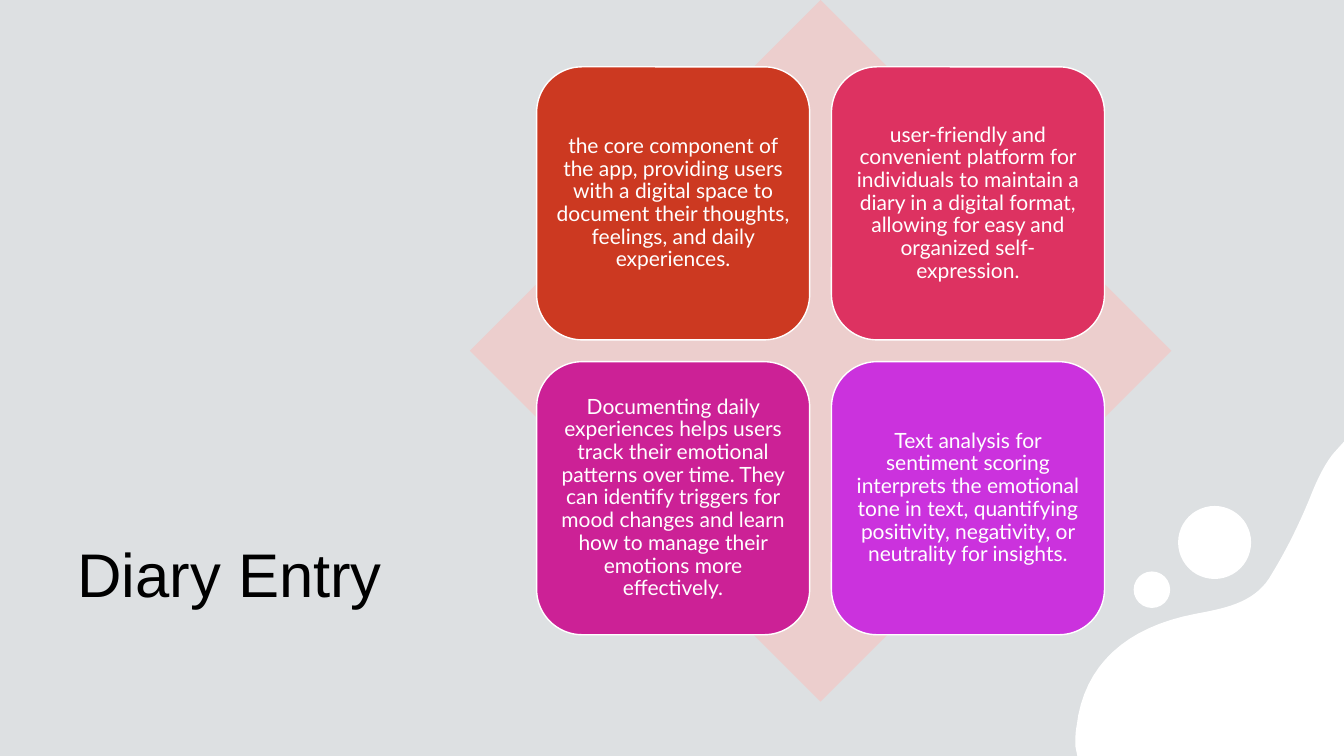
"""Build the Diary Entry slide: a title beside four cards on a diamond."""
import dataclasses
import typing

import pptx
import pptx.dml.color
import pptx.enum.shapes
import pptx.enum.text
import pptx.util

Cm = pptx.util.Cm
Pt = pptx.util.Pt
RGB = pptx.dml.color.RGBColor
Kind = pptx.enum.shapes.MSO_SHAPE
Anchor = pptx.enum.text.MSO_ANCHOR
Align = pptx.enum.text.PP_ALIGN
Point = tuple[float, float]


@dataclasses.dataclass(frozen=True)
class Theme:
    background: str = "DDE0E2"
    white: str = "FFFFFF"
    title_color: str = "000000"
    diamond: str = "ECCECD"
    title_font: str = "Arial"
    card_font: str = "Lato"
    title_size: int = 44
    card_size: int = 15


@dataclasses.dataclass(frozen=True)
class Card:
    column: int
    row: int
    color: str
    text: str


@dataclasses.dataclass(frozen=True)
class Bubble:
    center_x: float
    center_y: float
    radius: float


THEME = Theme()
SLIDE_WIDTH, SLIDE_HEIGHT = 33.87, 19.05
DIAMOND_LEFT, DIAMOND_SIZE = 11.84, 17.68
CARD_SIZE, CARD_PITCH = 6.88, 7.43
CARD_MARGIN = (DIAMOND_SIZE - CARD_SIZE - CARD_PITCH) / 2
CURVE_STEPS = 16

CARDS = (
    Card(0, 0, "CC3921", "the core component of the app, providing users with a digital "
         "space to document their thoughts, feelings, and daily experiences."),
    Card(1, 0, "DD3261", "user-friendly and convenient platform for individuals to maintain "
         "a diary in a digital format, allowing for easy and organized self-expression."),
    Card(0, 1, "CC2196", "Documenting daily experiences helps users track their emotional "
         "patterns over time. They can identify triggers for mood changes and learn how to "
         "manage their emotions more effectively."),
    Card(1, 1, "CB32DD", "Text analysis for sentiment scoring interprets the emotional tone "
         "in text, quantifying positivity, negativity, or neutrality for insights."),
)
BUBBLES = (Bubble(30.61, 13.67, 0.92), Bubble(29.03, 14.86, 0.46))
WAVE_START: Point = (27.1, 18.8)
WAVE_CURVES: tuple[tuple[Point, Point, Point], ...] = (
    ((27.1, 18.64), (27.1, 18.47), (27.13, 18.31)),
    ((27.31, 16.74), (28.4, 15.8), (30.12, 15.47)),
    ((30.81, 15.34), (31.57, 15.21), (31.98, 14.58)),
    ((32.41, 13.89), (32.77, 13.16), (33.07, 12.4)),
    ((33.22, 12.04), (33.38, 11.71), (33.6, 11.43)),
)


def paint(shape: typing.Any, color: str, outline: str | None = None) -> None:
    """Fill a shape, remove its shadow and set or clear its outline."""
    shape.shadow.inherit = False
    shape.fill.solid()
    shape.fill.fore_color.rgb = RGB.from_string(color)
    if outline:
        shape.line.color.rgb = RGB.from_string(outline)
        shape.line.width = Pt(1)
    else:
        shape.line.fill.background()


def write(shape: typing.Any, text: str, font: str, size: int, color: str,
          anchor: Anchor, alignment: Align) -> None:
    """Put one formatted paragraph into a shape."""
    frame = shape.text_frame
    frame.text = text
    frame.word_wrap = True
    frame.vertical_anchor = anchor
    paragraph = frame.paragraphs[0]
    paragraph.alignment = alignment
    for run in paragraph.runs:
        run.font.name = font
        run.font.size = Pt(size)
        run.font.color.rgb = RGB.from_string(color)


def add_square(slide: typing.Any, kind: Kind, left: float, top: float, size: float) -> typing.Any:
    """Add a preset shape of equal width and height."""
    return slide.shapes.add_shape(kind, Cm(left), Cm(top), Cm(size), Cm(size))


def add_card(slide: typing.Any, card: Card) -> None:
    """Add one rounded card at its place in the grid."""
    left = DIAMOND_LEFT + CARD_MARGIN + card.column * CARD_PITCH
    top = CARD_MARGIN + card.row * CARD_PITCH
    shape = add_square(slide, Kind.ROUNDED_RECTANGLE, left, top, CARD_SIZE)
    paint(shape, card.color, THEME.white)
    write(shape, card.text, THEME.card_font, THEME.card_size, THEME.white,
          Anchor.MIDDLE, Align.CENTER)
    frame = shape.text_frame
    frame.margin_left = frame.margin_right = Cm(0.15)
    frame.margin_top = frame.margin_bottom = Cm(0.15)
    frame.paragraphs[0].line_spacing = 0.9


def add_bubble(slide: typing.Any, bubble: Bubble) -> None:
    """Add one white circle."""
    shape = add_square(slide, Kind.OVAL, bubble.center_x - bubble.radius,
                       bubble.center_y - bubble.radius, 2 * bubble.radius)
    paint(shape, THEME.white)


def curve_point(points: tuple[Point, ...], t: float) -> Point:
    """Return the point at t on a cubic curve."""
    weights = ((1 - t) ** 3, 3 * t * (1 - t) ** 2, 3 * t ** 2 * (1 - t), t ** 3)
    return (sum(weight * x for weight, (x, _) in zip(weights, points)),
            sum(weight * y for weight, (_, y) in zip(weights, points)))


def add_wave(slide: typing.Any) -> None:
    """Add the white wave in the lower right corner."""
    outline = [(27.15, SLIDE_HEIGHT), WAVE_START]
    for curve in WAVE_CURVES:
        points = (outline[-1], *curve)
        outline += [curve_point(points, step / CURVE_STEPS)
                    for step in range(1, CURVE_STEPS + 1)]
    outline.append((SLIDE_WIDTH, 11.13))
    builder = slide.shapes.build_freeform(Cm(SLIDE_WIDTH), Cm(SLIDE_HEIGHT))
    builder.add_line_segments([(Cm(x), Cm(y)) for x, y in outline], close=True)
    paint(builder.convert_to_shape(), THEME.white)


def main() -> None:
    """Build and save the presentation."""
    presentation = pptx.Presentation()
    presentation.slide_width = Cm(SLIDE_WIDTH)
    presentation.slide_height = Cm(SLIDE_HEIGHT)
    slide = presentation.slides.add_slide(presentation.slide_layouts[6])
    slide.background.fill.solid()
    slide.background.fill.fore_color.rgb = RGB.from_string(THEME.background)

    add_wave(slide)
    for bubble in BUBBLES:
        add_bubble(slide, bubble)
    title = slide.shapes.add_textbox(Cm(1.7), Cm(2.26), Cm(10.16), Cm(13.23))
    write(title, "Diary Entry", THEME.title_font, THEME.title_size, THEME.title_color,
          Anchor.BOTTOM, Align.LEFT)
    diamond = add_square(slide, Kind.DIAMOND, DIAMOND_LEFT, 0, DIAMOND_SIZE)
    paint(diamond, THEME.diamond)
    for card in CARDS:
        add_card(slide, card)
    presentation.save("out.pptx")


if __name__ == "__main__":
    main()
